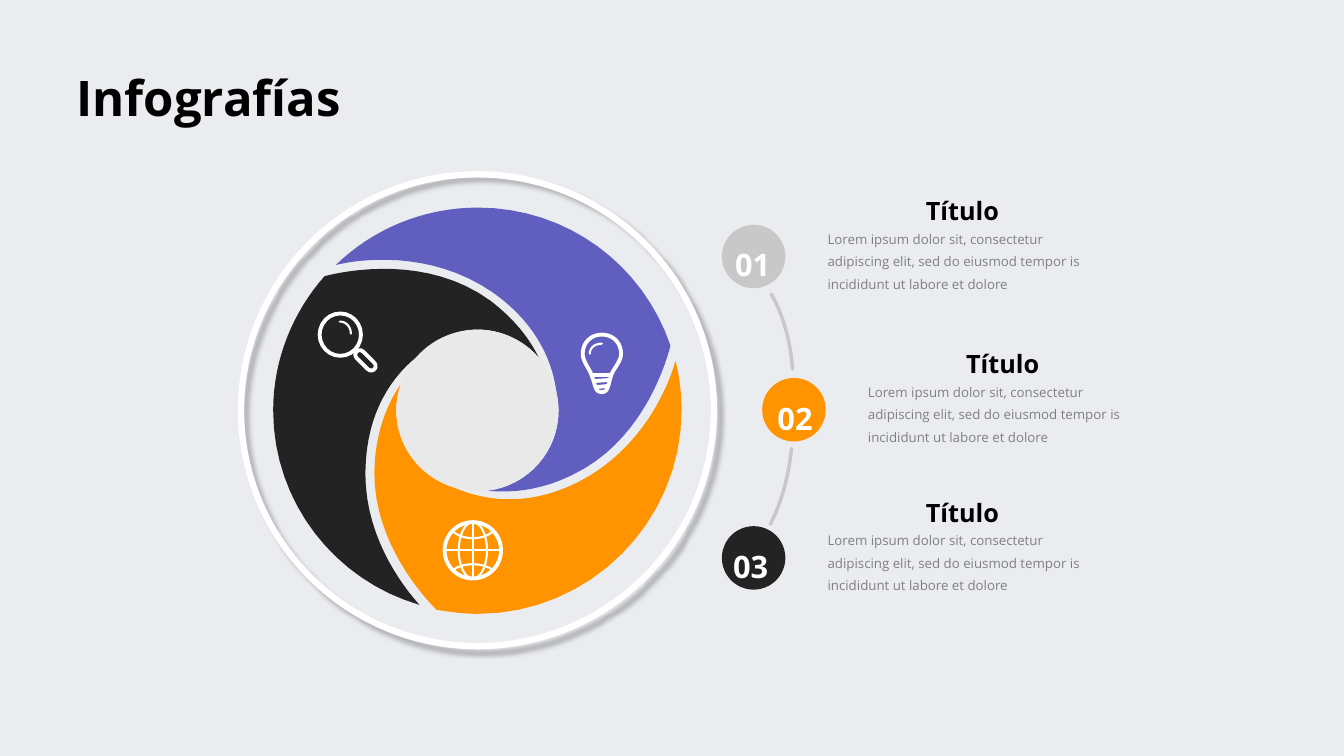
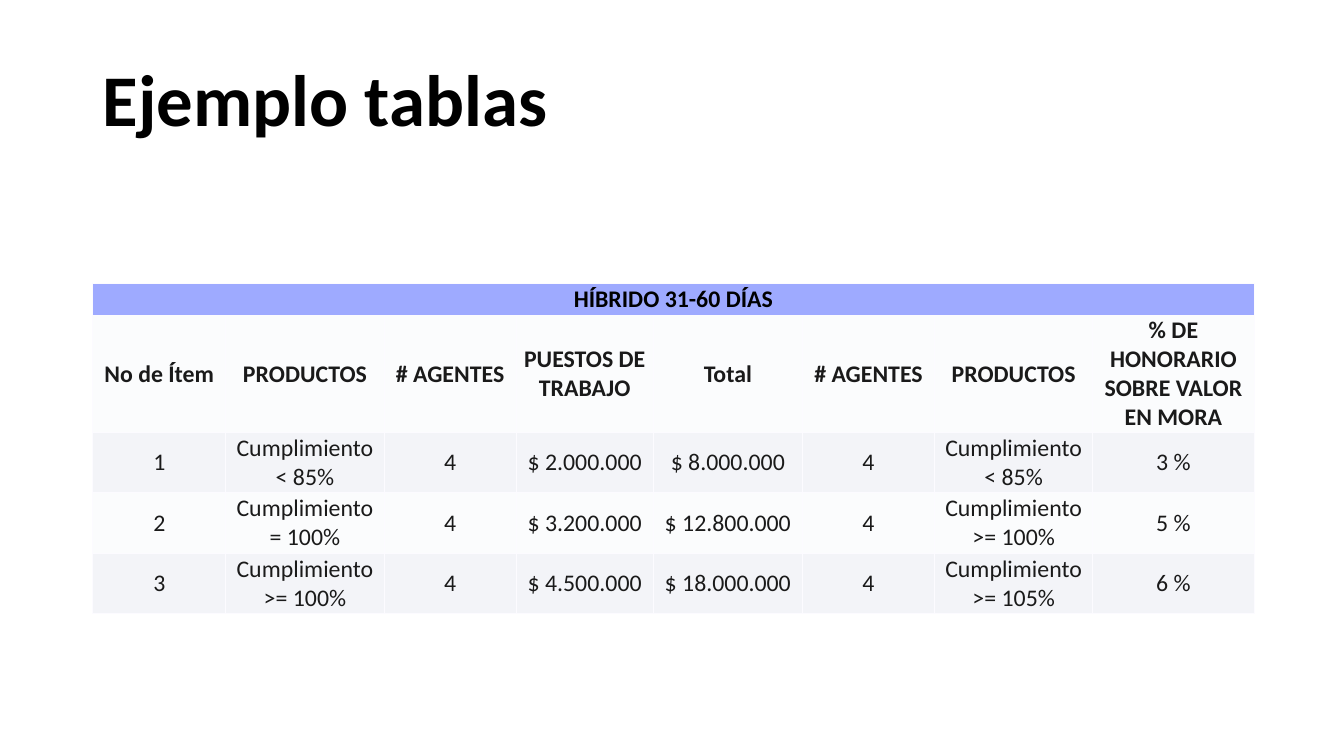
from lxml.etree import SubElement as Sub
from pptx import Presentation as Deck
from pptx.dml.color import RGBColor as Color
from pptx.enum.shapes import MSO_CONNECTOR as Link, MSO_SHAPE as Kind
from pptx.enum.text import MSO_ANCHOR as Anchor, PP_ALIGN as Align
from pptx.oxml.ns import qn
from pptx.util import Inches, Pt

BLACK = Color(0x00, 0x00, 0x00)
WHITE = Color(0xFF, 0xFF, 0xFF)
DARK = Color(0x23, 0x23, 0x23)
INK = Color(0x1A, 0x1A, 0x1A)
GREY = Color(0x80, 0x80, 0x80)
SILVER = Color(0xC8, 0xC8, 0xC8)
CORE = Color(0xE9, 0xE9, 0xE9)
MIST = Color(0xEB, 0xEC, 0xF0)
ORANGE = Color(0xFF, 0x93, 0x00)
PURPLE = Color(0x60, 0x5F, 0xC0)
BLUE = Color(0x9E, 0xAA, 0xFF)
PALE = Color(0xFB, 0xFC, 0xFD)
BAND = Color(0xF3, 0xF4, 0xF8)
EDGE = Color(0xFC, 0xFB, 0xFF)
SANS, PLAIN = "Open Sans", "Calibri"
THICK, THIN = 2.75, 1.5

BODY = ("Lorem ipsum dolor sit, consectetur\n"
        "adipiscing elit, sed do eiusmod tempor is incididunt ut labore et dolore")
ITEMS = [("01", 7.16, 2.23, 7.19, SILVER),
         ("02", 7.56, 3.75, 7.61, ORANGE),
         ("03", 7.16, 5.22, 7.17, DARK)]
ARCS = [[(7.85, 4.45), (7.85, 4.45), (7.82, 4.86), (7.64, 5.2)],
        [(7.65, 2.92), (7.65, 2.92), (7.83, 3.2), (7.86, 3.66)]]
BLADES = [
    (PURPLE, [(4.9, 2.91), (5.36, 3.24), (5.49, 3.64), (5.52, 3.9),
              (5.53, 3.96), (5.54, 4.02), (5.54, 4.08),
              (5.54, 4.48), (5.24, 4.82), (4.84, 4.87),
              (5.07, 4.89), (5.36, 4.87), (5.68, 4.71),
              (6.33, 4.4), (6.58, 3.7), (6.65, 3.43),
              (6.38, 2.63), (5.63, 2.06), (4.74, 2.06),
              (4.19, 2.06), (3.69, 2.28), (3.33, 2.63),
              (3.52, 2.58), (4.26, 2.46), (4.9, 2.91)]),
    (ORANGE, [(6.7, 3.58), (6.63, 3.83), (6.38, 4.45), (5.74, 4.78),
              (5.19, 5.06), (4.74, 4.94), (4.51, 4.84),
              (4.18, 4.74), (3.93, 4.44), (3.93, 4.07),
              (3.93, 3.97), (3.95, 3.88), (3.99, 3.79),
              (3.86, 3.97), (3.75, 4.22), (3.72, 4.55),
              (3.65, 5.27), (4.13, 5.85), (4.33, 6.05),
              (4.46, 6.07), (4.6, 6.09), (4.74, 6.09),
              (5.85, 6.09), (6.76, 5.18), (6.76, 4.07),
              (6.76, 3.9), (6.74, 3.74), (6.7, 3.58)]),
    (DARK, [(3.63, 4.56), (3.67, 3.99), (3.96, 3.67), (4.16, 3.52),
            (4.3, 3.37), (4.51, 3.27), (4.74, 3.27),
            (4.98, 3.27), (5.2, 3.38), (5.35, 3.56),
            (5.26, 3.37), (5.11, 3.17), (4.86, 2.98),
            (4.24, 2.53), (3.45, 2.68), (3.22, 2.74),
            (2.91, 3.09), (2.71, 3.56), (2.71, 4.07),
            (2.71, 4.99), (3.33, 5.76), (4.16, 6),
            (4, 5.82), (3.57, 5.28), (3.63, 4.56)]),
]
BULB = [(5.78, 3.51), (5.78, 3.4), (5.86, 3.32), (5.97, 3.32),
        (6.08, 3.32), (6.16, 3.4), (6.16, 3.51),
        (6.16, 3.59), (6.08, 3.66), (6.06, 3.73),
        (6.03, 3.83), (6.03, 3.89), (5.97, 3.89),
        (5.9, 3.89), (5.91, 3.83), (5.87, 3.73),
        (5.85, 3.66), (5.78, 3.59), (5.78, 3.51)]
WIDTHS = [1.32, 1.57, 1.31, 1.36, 1.48, 1.31, 1.57, 1.6]
HEIGHTS = [0.32, 1.16, 0.6, 0.6, 0.6]
ROWS = [
    ["HÍBRIDO 31-60 DÍAS"],
    ["No de Ítem", "PRODUCTOS", "# AGENTES", "PUESTOS DE TRABAJO", "Total",
     "# AGENTES", "PRODUCTOS", "% DE HONORARIO SOBRE VALOR EN MORA"],
    ["1", "Cumplimiento < 85%", "4", "$ 2.000.000", "$ 8.000.000",
     "4", "Cumplimiento < 85%", "3 %"],
    ["2", "Cumplimiento = 100%", "4", "$ 3.200.000", "$ 12.800.000",
     "4", "Cumplimiento >= 100%", "5 %"],
    ["3", "Cumplimiento >= 100%", "4", "$ 4.500.000", "$ 18.000.000",
     "4", "Cumplimiento >= 105%", "6 %"],
]


def write(frame, words, size=18, color=BLACK, font=SANS, bold=False,
          align=Align.LEFT, lead=None, after=None):
    for i, line in enumerate(words.split("\n")):
        para = frame.add_paragraph() if i else frame.paragraphs[0]
        para.alignment = align
        if lead:
            para.line_spacing = lead
        if after:
            para.space_after = Pt(after)
        run = para.add_run()
        run.text = line
        run.font.name, run.font.size = font, Pt(size)
        run.font.bold, run.font.color.rgb = bold, color


def trace(pts, steps=16):
    dots = [pts[0]]
    for i in range(0, len(pts) - 1, 3):
        for t in (n / steps for n in range(1, steps + 1)):
            parts = ((1 - t) ** 3, 3 * t * (1 - t) ** 2, 3 * t * t * (1 - t), t ** 3)
            dots.append(tuple(sum(w * p[k] for w, p in zip(parts, pts[i:i + 4]))
                              for k in (0, 1)))
    return [(Inches(x), Inches(y)) for x, y in dots]


class Board:
    """Holds the deck style and the slide being drawn."""

    def __init__(self):
        self.deck = Deck()
        self.deck.slide_width, self.deck.slide_height = Inches(13.33), Inches(7.5)

    def start(self, back):
        self.slide = self.deck.slides.add_slide(self.deck.slide_layouts[6])
        self.slide.background.fill.solid()
        self.slide.background.fill.fore_color.rgb = back
        self.shapes = self.slide.shapes

    def paint(self, shape, fill, line, width):
        shape.shadow.inherit = False
        if fill is None:
            shape.fill.background()
        else:
            shape.fill.solid()
            shape.fill.fore_color.rgb = fill
        if line is None:
            shape.line.fill.background()
        else:
            self.stroke(shape, line, width)
        return shape

    def stroke(self, shape, color, width):
        shape.line.color.rgb, shape.line.width = color, Pt(width)
        shape.element.spPr.find(qn("a:ln")).set("cap", "rnd")

    def shape(self, box, fill=None, line=None, width=1, kind=Kind.OVAL):
        form = self.shapes.add_shape(kind, *map(Inches, box))
        return self.paint(form, fill, line, width)

    def curve(self, pts, fill=None, line=None, width=1):
        dots = trace(pts)
        pen = self.shapes.build_freeform(*dots[0])
        pen.add_line_segments(dots[1:], close=pts[0] == pts[-1])
        return self.paint(pen.convert_to_shape(), fill, line, width)

    def line(self, ends, color, width):
        rule = self.shapes.add_connector(Link.STRAIGHT, *map(Inches, ends))
        self.stroke(rule, color, width)
        Sub(rule.element.spPr, qn("a:effectLst"))

    def shade(self, shape):
        glow = Sub(shape.element.spPr.find(qn("a:effectLst")), qn("a:outerShdw"),
                   blurRad=str(Pt(3)), dist=str(Pt(5)), dir="2700000",
                   algn="tl", rotWithShape="0")
        tint = Sub(glow, qn("a:srgbClr"), val=str(DARK))
        Sub(tint, qn("a:alpha"), val="27000")

    def text(self, box, words, wrap=True, anchor=Anchor.TOP, **style):
        frame = self.shapes.add_textbox(*map(Inches, box)).text_frame
        frame.word_wrap, frame.vertical_anchor = wrap, anchor
        write(frame, words, **style)

    def title(self, box, words, **style):
        self.text(box, words, bold=True, **style)

    def border(self, cell):
        props = cell._tc.get_or_add_tcPr()
        for i, side in enumerate(("lnL", "lnR", "lnT", "lnB")):
            edge = props.makeelement(qn("a:" + side), {"w": str(Pt(0.75))})
            Sub(Sub(edge, qn("a:solidFill")), qn("a:srgbClr"), val=str(EDGE))
            props.insert(i, edge)

    def table(self, left, top, rows, widths, heights):
        box = map(Inches, (left, top, sum(widths), sum(heights)))
        grid = self.shapes.add_table(len(rows), len(widths), *box).table
        grid.first_row = grid.horz_banding = False
        for col, size in zip(grid.columns, widths):
            col.width = Inches(size)
        for row, size in zip(grid.rows, heights):
            row.height = Inches(size)
        for r, row in enumerate(rows):
            for c in range(len(widths)):
                cell = grid.cell(r, c)
                cell.margin_left = cell.margin_right = Inches(0.05)
                cell.margin_top = cell.margin_bottom = 0
                cell.vertical_anchor = Anchor.MIDDLE
                cell.fill.solid()
                cell.fill.fore_color.rgb = (BAND, PALE)[r % 2] if r else BLUE
                self.border(cell)
                if c < len(row):
                    write(cell.text_frame, row[c], size=17, font=PLAIN, bold=r < 2,
                          color=INK if r else BLACK, align=Align.CENTER)
        grid.cell(0, 0).merge(grid.cell(0, len(widths) - 1))


def draw_lens(board):
    board.shape((3.17, 3.11, 0.41, 0.42), line=WHITE, width=THICK)
    grip = board.shape((3.5, 3.53, 0.25, 0.09), line=WHITE, width=THICK,
                       kind=Kind.ROUNDED_RECTANGLE)
    grip.adjustments[0], grip.rotation = 0.5, 45
    board.curve([(3.37, 3.19), (3.43, 3.19), (3.48, 3.24), (3.48, 3.31)],
                line=WHITE, width=THIN)


def draw_bulb(board):
    board.curve(BULB, line=WHITE, width=THICK)
    board.curve([(5.85, 3.51), (5.85, 3.45), (5.9, 3.41), (5.97, 3.41)],
                line=WHITE, width=THIN)
    for ends in ((5.87, 3.72, 6.06, 3.72), (5.9, 3.78, 6.04, 3.77),
                 (5.92, 3.84, 6.02, 3.83)):
        board.line(ends, WHITE, THICK)


def draw_globe(board):
    board.shape((4.41, 5.18, 0.56, 0.56), line=WHITE, width=THICK)
    board.shape((4.55, 5.18, 0.28, 0.56), line=WHITE, width=THIN)
    for ends in ((4.69, 5.18, 4.69, 5.74), (4.41, 5.46, 4.97, 5.46)):
        board.line(ends, WHITE, THIN)
    for rim, mid in ((5.28, 5.36), (5.65, 5.58)):
        board.curve([(4.5, rim), (4.6, mid), (4.78, mid), (4.88, rim)],
                    line=WHITE, width=THIN)


def draw_wheel(board):
    ring = board.shape((2.39, 1.73, 4.69, 4.68), line=WHITE, width=4.5)
    board.shade(ring)
    for color, pts in BLADES:
        board.curve(pts, fill=color)
    board.shape((3.93, 3.27, 1.61, 1.6), fill=CORE)
    draw_lens(board)
    draw_bulb(board)
    draw_globe(board)


def draw_list(board):
    for pts in ARCS:
        board.curve(pts, line=SILVER, width=2.5)
    for num, x, y, left, color in ITEMS:
        board.shape((x, y, 0.63, 0.63), fill=color)
        board.text((left, y - 0.03, 0.55, 0.66), num, wrap=False, anchor=Anchor.MIDDLE,
                   size=22, color=WHITE, bold=True, align=Align.CENTER, lead=Pt(40))
        board.text((x + 0.95, y - 0.34, 2.87, 0.4), "Título", bold=True,
                   align=Align.CENTER)
        board.text((x + 0.95, y - 0.05, 3.18, 0.83), BODY, size=9.5, color=GREY,
                   lead=Pt(16))


def main():
    board = Board()
    board.start(MIST)
    draw_list(board)
    draw_wheel(board)
    board.title((0.66, 0.62, 2.84, 0.69), "Infografías", size=35, wrap=False)
    board.start(WHITE)
    board.title((0.92, 0.2, 11.5, 1.65), "Ejemplo tablas", size=52, font=PLAIN,
                anchor=Anchor.MIDDLE, lead=0.9, after=6)
    board.table(0.92, 2.81, ROWS, WIDTHS, HEIGHTS)
    board.deck.save("out.pptx")


if __name__ == "__main__":
    main()
